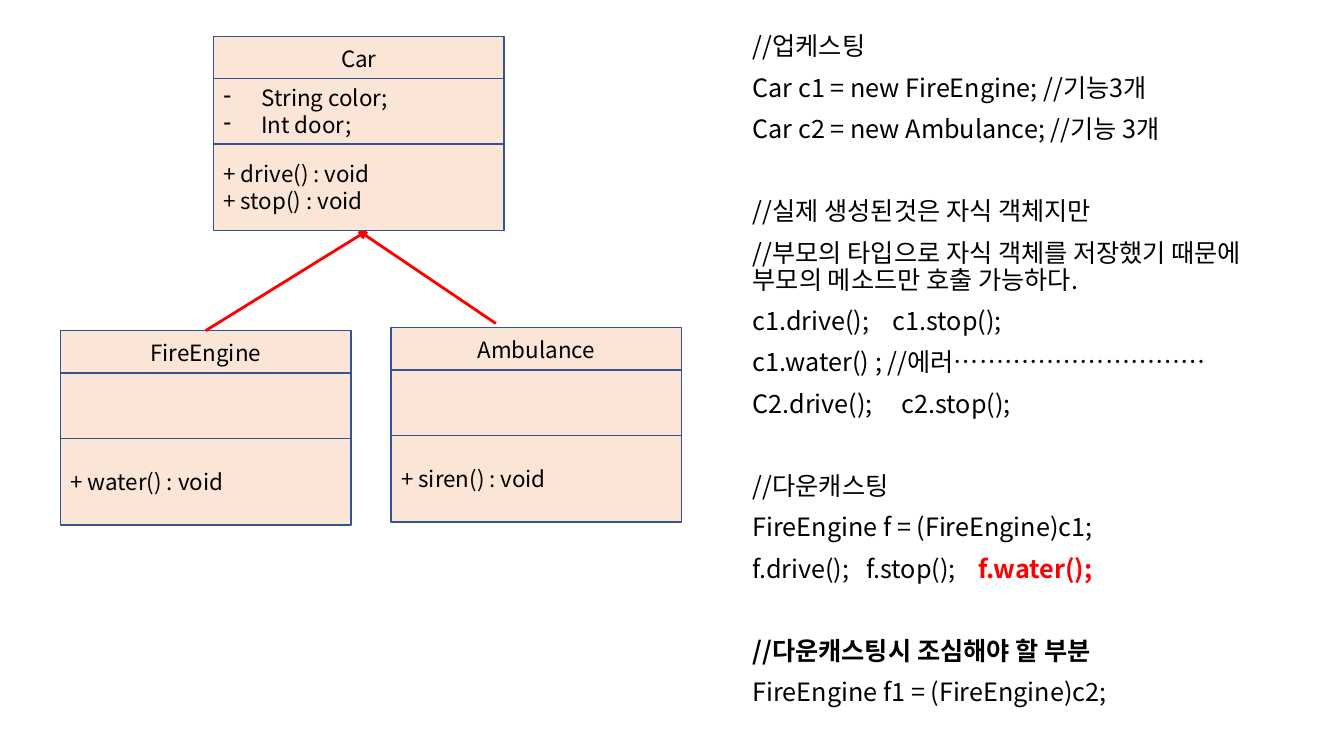
import pptx
import pptx.util
import pptx.dml.color
import pptx.enum.shapes
import pptx.enum.text
import pptx.oxml.ns
import lxml.etree

Pt = pptx.util.Pt
PP_ALIGN = pptx.enum.text.PP_ALIGN
ANCHOR = pptx.enum.text.MSO_ANCHOR
FONT = "Noto Sans CJK KR"
COLORS = {"fill": "FBE5D6", "border": "325491", "arrow": "FF0000", "text": "000000"}

# Class boxes: (offset from the class top, height) of each compartment
COMPARTMENTS = [(0, 31.7), (30.2, 46.8), (77, 61.9)]
CLASS_WIDTH = 207.4
CLASSES = [
    (152.6, 25.9, "Car", ["String color;", "Int door;"],
     ["+ drive() : void", "+ stop() : void"]),
    (43.2, 236.2, "FireEngine", [], ["+ water() : void"]),
    (279.4, 234, "Ambulance", [], ["+ siren() : void"]),
]
ARROWS = [((146.9, 236.2), (262.1, 164.9)), ((354.2, 231.1), (256.3, 164.9))]

# Code notes: groups of (text, format values, tab stops)
BOLD = {"bold": True}
NOTES = [
    [("//업케스팅", {}, []),
     ("Car c1 = new FireEngine; //기능3개", {}, []),
     ("Car c2 = new Ambulance; //기능 3개", {}, [])],
    [("//실제 생성된것은 자식 객체지만", {}, []),
     ("//부모의 타입으로 자식 객체를 저장했기 때문에 부모의 메소드만 호출 가능하다.", {}, []),
     ("c1.drive();\tc1.stop();", {}, [100]),
     ("c1.water() ; //에러" + "…" * 10, {}, []),
     ("C2.drive();\tc2.stop();", {}, [106.5])],
    [("//다운캐스팅", {}, []),
     ("FireEngine f = (FireEngine)c1;", {}, []),
     ("f.drive();\tf.stop();\t", {}, [81.5, 161.5])],
    [("//다운캐스팅시 조심해야 할 부분", BOLD, []),
     ("FireEngine f1 = (FireEngine)c2;", {}, [])],
]
LINE_GAP, GROUP_GAP = 10, 39.5


def rgb(name):
    return pptx.dml.color.RGBColor.from_string(COLORS[name])


def add_xml(parent, tag, **attributes):
    return lxml.etree.SubElement(parent, pptx.oxml.ns.qn(tag), attributes)


def set_values(target, values):
    for name, value in values.items():
        setattr(target, name, value)


def add_run(paragraph, text, size, color="text", **values):
    run = paragraph.add_run()
    run.text = text
    run.font.color.rgb = rgb(color)
    set_values(run.font, {"name": FONT, "size": Pt(size), **values})
    add_xml(run.font._element, "a:ea", typeface=FONT)


def add_bullet(paragraph):
    properties = paragraph._p.get_or_add_pPr()
    indent = Pt(27)
    properties.set("marL", str(indent))
    properties.set("indent", str(-indent))
    add_xml(properties, "a:buChar", char="-")


def add_compartment(slide, left, top, height, lines, align, bulleted):
    shape = slide.shapes.add_shape(
        pptx.enum.shapes.MSO_SHAPE.RECTANGLE,
        Pt(left), Pt(top), Pt(CLASS_WIDTH), Pt(height))
    shape.shadow.inherit = False
    shape.fill.solid()
    shape.fill.fore_color.rgb = rgb("fill")
    shape.line.color.rgb = rgb("border")
    shape.line.width = Pt(1)
    frame = shape.text_frame
    set_values(frame, {"word_wrap": True, "vertical_anchor": ANCHOR.MIDDLE})
    for index, line in enumerate(lines):
        paragraph = frame.add_paragraph() if index else frame.paragraphs[0]
        paragraph.alignment = align
        if bulleted:
            add_bullet(paragraph)
        add_run(paragraph, line, 16)


def add_class(slide, left, top, name, fields, methods):
    contents = [([name], PP_ALIGN.CENTER, False),
                (fields, PP_ALIGN.LEFT, True),
                (methods, PP_ALIGN.LEFT, False)]
    for (offset, height), content in zip(COMPARTMENTS, contents):
        add_compartment(slide, left, top + offset, height, *content)


def add_arrow(slide, start, end):
    connector = slide.shapes.add_connector(
        pptx.enum.shapes.MSO_CONNECTOR.STRAIGHT,
        *(Pt(value) for value in start + end))
    connector.line.color.rgb = rgb("arrow")
    connector.line.width = Pt(2)
    add_xml(connector.line._get_or_add_ln(), "a:tailEnd", type="triangle")
    add_xml(connector._element.spPr, "a:effectLst")


def add_tab_stops(paragraph, stops):
    tab_list = add_xml(paragraph._p.get_or_add_pPr(), "a:tabLst")
    for stop in stops:
        add_xml(tab_list, "a:tab", pos=str(Pt(stop)), algn="l")


def add_notes(slide):
    box = slide.shapes.add_textbox(Pt(530.6), Pt(20.9), Pt(410.4), Pt(505.4))
    frame = box.text_frame
    frame.word_wrap = True
    paragraph = None
    for group_index, group in enumerate(NOTES):
        for line_index, (text, values, stops) in enumerate(group):
            paragraph = frame.add_paragraph() if paragraph else frame.paragraphs[0]
            starts_group = group_index and not line_index
            set_values(paragraph, {
                "line_spacing": 0.9,
                "space_before": Pt(GROUP_GAP if starts_group else LINE_GAP)})
            if stops:
                add_tab_stops(paragraph, stops)
            add_run(paragraph, text, 18, **values)
            if text.endswith("\t"):
                add_run(paragraph, "f.water();", 18, "arrow", **BOLD)


def main():
    presentation = pptx.Presentation()
    set_values(presentation, {"slide_width": Pt(960), "slide_height": Pt(540)})
    slide = presentation.slides.add_slide(presentation.slide_layouts[6])
    # Class diagram
    for class_box in CLASSES:
        add_class(slide, *class_box)
    # Inheritance arrows
    for start, end in ARROWS:
        add_arrow(slide, start, end)
    # Casting notes
    add_notes(slide)
    presentation.save("out.pptx")


main()
